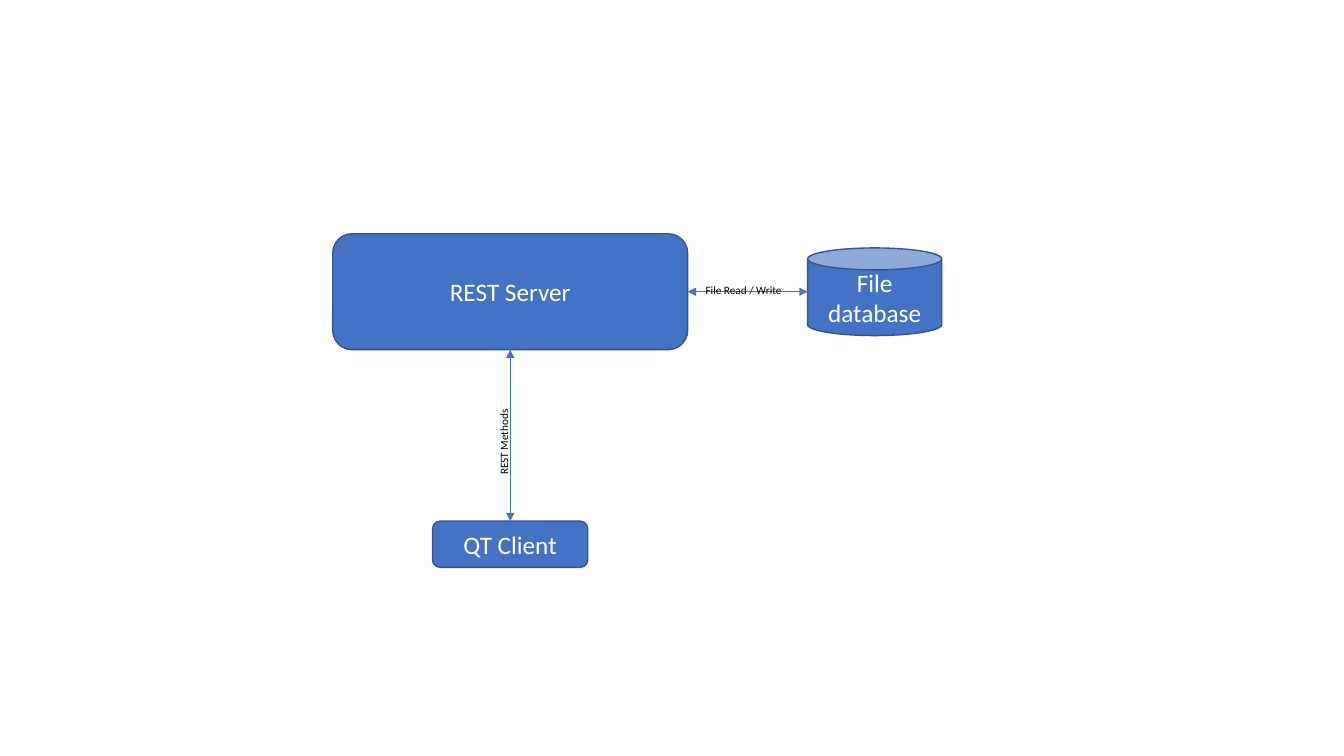
from lxml.etree import SubElement
from pptx import Presentation
from pptx.dml.color import RGBColor
from pptx.enum.shapes import MSO_CONNECTOR as Connector, MSO_SHAPE as Shape
from pptx.enum.text import MSO_ANCHOR as Anchor, MSO_AUTO_SIZE as AutoSize, PP_ALIGN as Align
from pptx.oxml.ns import qn
from pptx.util import Inches, Pt

BLUE = RGBColor(0x44, 0x72, 0xC4)
DARK_BLUE = RGBColor(0x32, 0x54, 0x91)
WHITE = RGBColor(0xFF, 0xFF, 0xFF)
BLACK = RGBColor(0x00, 0x00, 0x00)
FONT = "Calibri"

WIDTH, HEIGHT = Inches(13.33), Inches(7.5)
LABEL_SIZE = (11.55, 3.2)


def place(left, top, width, height):
    """Turn percentages of the slide's size into lengths."""
    return [int(share * full / 100) for share, full in
            zip((left, top, width, height), (WIDTH, HEIGHT, WIDTH, HEIGHT))]


def write(box, text, size, color, align):
    frame = box.text_frame
    frame.word_wrap = True
    frame.text = text
    para = frame.paragraphs[0]
    para.alignment = align
    font = para.runs[0].font
    font.name, font.size = FONT, Pt(size)
    font.color.rgb = color


def add_node(page, kind, text, *area):
    node = page.shapes.add_shape(kind, *place(*area))
    node.shadow.inherit = False
    node.fill.solid()
    node.fill.fore_color.rgb = BLUE
    node.line.color.rgb = DARK_BLUE
    node.line.width = Pt(1)
    node.text_frame.vertical_anchor = Anchor.MIDDLE
    write(node, text, 18, WHITE, Align.CENTER)
    return node


def add_arrow(page, start, end):
    arrow = page.shapes.add_connector(Connector.STRAIGHT, *start, *end)
    arrow.line.color.rgb = BLUE
    arrow.line.width = Pt(0.5)
    outline = arrow.line._get_or_add_ln()
    for tip in ("a:headEnd", "a:tailEnd"):
        SubElement(outline, qn(tip), type="triangle")
    SubElement(arrow._element.spPr, qn("a:effectLst"))


def add_label(page, text, left, top, rotation=0):
    label = page.shapes.add_textbox(*place(left, top, *LABEL_SIZE))
    label.rotation = rotation
    write(label, text, 8, BLACK, Align.LEFT)
    label.text_frame.auto_size = AutoSize.SHAPE_TO_FIT_TEXT


def main():
    deck = Presentation()
    deck.slide_width, deck.slide_height = WIDTH, HEIGHT
    page = deck.slides.add_slide(deck.slide_layouts[6])

    # Components
    server = add_node(page, Shape.ROUNDED_RECTANGLE, "REST Server", 24.76, 30.93, 26.41, 15.33)
    client = add_node(page, Shape.ROUNDED_RECTANGLE, "QT Client", 32.18, 68.93, 11.55, 6.13)
    database = add_node(page, Shape.CAN, "File database", 60.09, 32.8, 9.98, 11.6)

    # Two-way links, centred on the server's bottom and right edges
    center = server.left + server.width // 2
    middle = server.top + server.height // 2
    add_arrow(page, (center, client.top), (center, server.top + server.height))
    add_arrow(page, (server.left + server.width, middle), (database.left, middle))

    # Link labels
    add_label(page, "REST Methods", 31.73, 52.27, rotation=270)
    add_label(page, "File Read / Write", 51.76, 36.8)

    deck.save("out.pptx")


if __name__ == "__main__":
    main()
